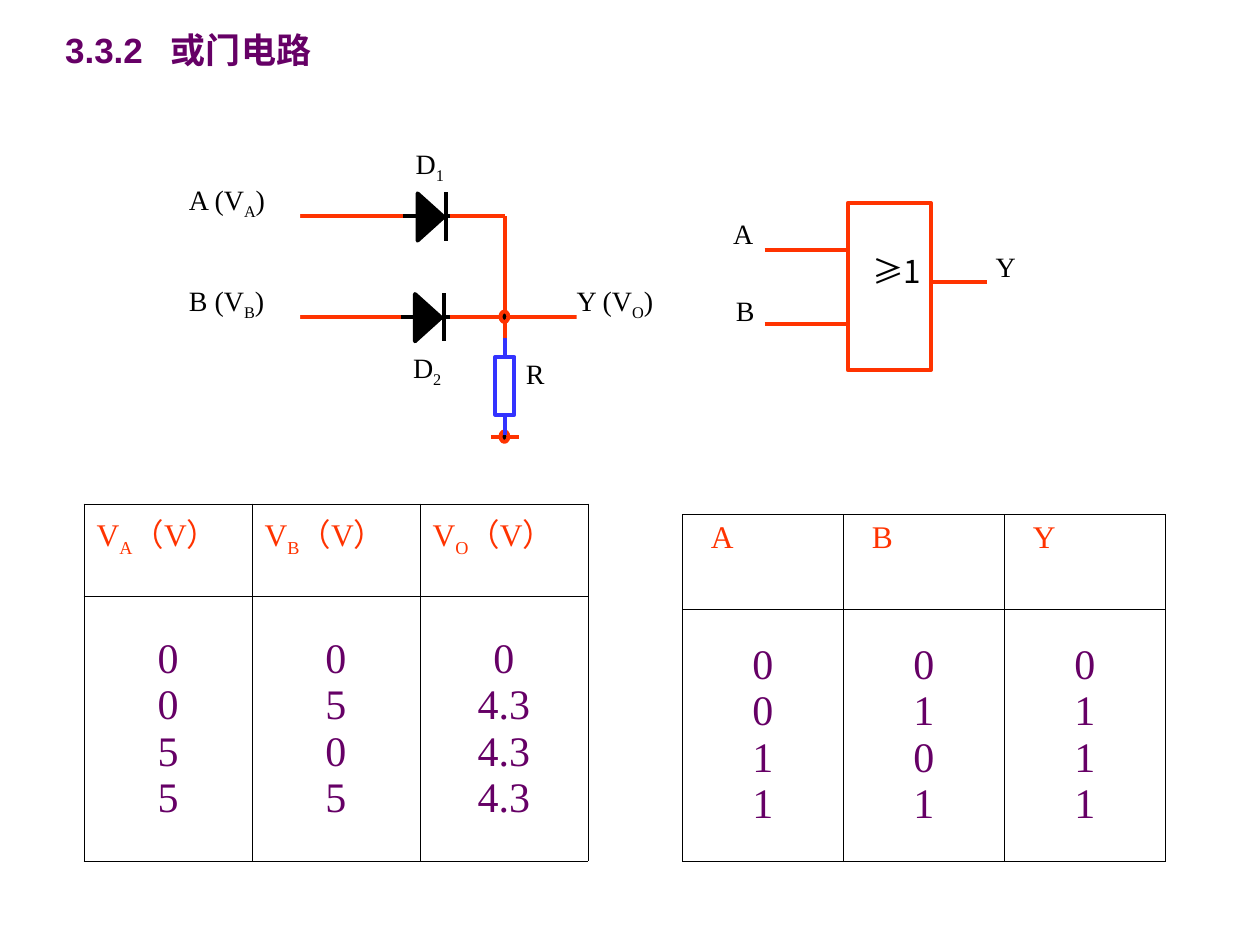
import pptx
import pptx.dml.color
import pptx.enum.shapes
import pptx.enum.text
import pptx.oxml
import pptx.oxml.ns
import pptx.util
from lxml import etree

Pt = pptx.util.Pt
SHAPE = pptx.enum.shapes.MSO_SHAPE
ALIGN = pptx.enum.text.PP_ALIGN
ANCHOR = pptx.enum.text.MSO_ANCHOR

RED, BLUE, BLACK, WHITE, PURPLE = "FF3300", "3333FF", "000000", "FFFFFF", "660066"
SERIF, SANS, CHINESE = "Times New Roman", "Arial", "Noto Sans CJK SC"
LINE_WIDTH = 2.25
BORDER_WIDTH = 0.45

LABEL = {"size": Pt(16), "name": SERIF, "bold": False}
GATE_SYMBOL = {"size": Pt(18), "name": CHINESE, "bold": False}
TABLE_HEAD = {"size": Pt(18), "name": SERIF, "bold": False}
TABLE_BODY = {"size": Pt(24), "name": SERIF, "bold": False}
TITLE = {"size": Pt(20), "name": SANS, "bold": True}


def colour(hex_string):
    return pptx.dml.color.RGBColor.from_string(hex_string)


def add_runs(paragraph, text, font_format, hex_colour):
    """Write text whose parts between bars are subscripts, as in V|A|."""
    for index, part in enumerate(text.split("|")):
        if not part:
            continue
        run = paragraph.add_run()
        run.text = part
        for name, value in font_format.items():
            setattr(run.font, name, value)
        run.font.color.rgb = colour(hex_colour)
        properties = run._r.get_or_add_rPr()
        east_asian = etree.SubElement(properties, pptx.oxml.ns.qn("a:ea"))
        east_asian.set("typeface", CHINESE)
        if index % 2:
            properties.set("baseline", "-25000")


def add_title(slide, number, heading):
    title = slide.shapes.title
    title.left, title.top, title.width, title.height = Pt(30), Pt(12), Pt(200), Pt(32)
    frame = title.text_frame
    frame.word_wrap = True
    frame.vertical_anchor = ANCHOR.MIDDLE
    for side, margin in {"left": 7.2, "right": 7.2, "top": 3.6, "bottom": 3.6}.items():
        setattr(frame, f"margin_{side}", Pt(margin))
    paragraph = frame.paragraphs[0]
    paragraph.alignment = ALIGN.LEFT
    tabs = etree.SubElement(paragraph._p.get_or_add_pPr(), pptx.oxml.ns.qn("a:tabLst"))
    etree.SubElement(tabs, pptx.oxml.ns.qn("a:tab"), pos=str(Pt(60.5)), algn="l")
    add_runs(paragraph, f"{number}\t{heading}", TITLE, PURPLE)


def add_wire(slide, start, end, hex_colour=RED):
    wire = slide.shapes.add_connector(
        pptx.enum.shapes.MSO_CONNECTOR.STRAIGHT, *map(Pt, start + end))
    wire.line.color.rgb = colour(hex_colour)
    wire.line.width = Pt(LINE_WIDTH)
    etree.SubElement(wire._element.spPr, pptx.oxml.ns.qn("a:effectLst"))


def add_part(slide, kind, box, fill=WHITE, line=None):
    shape = slide.shapes.add_shape(kind, *map(Pt, box))
    shape.shadow.inherit = False
    shape.fill.solid()
    shape.fill.fore_color.rgb = colour(fill)
    if line:
        shape.line.color.rgb = colour(line)
        shape.line.width = Pt(LINE_WIDTH)
    else:
        shape.line.fill.background()
    return shape


def add_label(slide, text, box, font_format=LABEL):
    frame = add_part(slide, SHAPE.RECTANGLE, box).text_frame
    frame.word_wrap = True
    frame.vertical_anchor = ANCHOR.TOP
    for side in ("left", "right", "top", "bottom"):
        setattr(frame, f"margin_{side}", 0)
    frame.paragraphs[0].alignment = ALIGN.LEFT
    add_runs(frame.paragraphs[0], text, font_format, BLACK)


def add_diode(slide, bar_x, y):
    """Draw a diode pointing right, with its cathode bar at bar_x."""
    triangle = add_part(slide, SHAPE.ISOSCELES_TRIANGLE,
                        (bar_x - 22.4, y - 7, 27, 15), BLACK, BLACK)
    triangle.rotation = 90
    add_wire(slide, (bar_x - 24.5, y), (bar_x - 15, y), BLACK)
    add_wire(slide, (bar_x, y), (bar_x + 5.75, y), BLACK)
    add_wire(slide, (bar_x, y - 13.5), (bar_x, y + 14), BLACK)


def add_node(slide, x, y):
    add_part(slide, SHAPE.OVAL, (x - 2.5, y - 3, 4.5, 6), BLACK, RED)


def add_borders(cell):
    properties = cell._tc.get_or_add_tcPr()
    for position, side in enumerate(("lnL", "lnR", "lnT", "lnB")):
        properties.insert(position, pptx.oxml.parse_xml(
            f'<a:{side} {pptx.oxml.ns.nsdecls("a")} w="{Pt(BORDER_WIDTH)}">'
            f'<a:solidFill><a:srgbClr val="{BLACK}"/></a:solidFill></a:{side}>'))


def add_truth_table(slide, box, head_height, head_indent, columns):
    """Draw one head row and one row holding each column's values as paragraphs."""
    left, top, width, height = box
    table = slide.shapes.add_table(2, len(columns), *map(Pt, box)).table
    table.first_row = table.horz_banding = False
    table.rows[0].height = Pt(head_height)
    table.rows[1].height = Pt(height - head_height)
    for index, (heading, values) in enumerate(columns):
        table.columns[index].width = Pt(width / len(columns))
        head, body = table.cell(0, index), table.cell(1, index)
        for cell in (head, body):
            cell.fill.background()
            add_borders(cell)
        head.margin_left = Pt(7.2 + head_indent)
        add_runs(head.text_frame.paragraphs[0], heading, TABLE_HEAD, RED)
        body.vertical_anchor = ANCHOR.MIDDLE
        frame = body.text_frame
        for row, value in enumerate(values.split()):
            paragraph = frame.add_paragraph() if row else frame.paragraphs[0]
            paragraph.alignment = ALIGN.CENTER
            add_runs(paragraph, value, TABLE_BODY, PURPLE)


def draw_diode_circuit(slide):
    input_x, output_x, node_x = 171.5, 336, 288.5
    wire_a, wire_b, ground = 123.5, 181, 249.5
    for y, bar_x in ((wire_a, 255), (wire_b, 253.5)):
        add_wire(slide, (input_x, y), (234.5, y))
        add_diode(slide, bar_x, y)
        add_wire(slide, (257, y), (node_x, y))
    add_wire(slide, (node_x, wire_b), (output_x, wire_b))
    add_wire(slide, (node_x, wire_a), (node_x, 200))
    add_wire(slide, (node_x - 8, ground), (node_x + 8, ground))
    add_node(slide, node_x, wire_b)
    for text, box in (
        ("Y (V|O|)", (329.5, 162, 63.5, 38)),
        ("A (V|A|)", (108, 104.5, 63.5, 38)),
        ("B (V|B|)", (108, 162, 63.5, 38)),
        ("D|1|", (237.5, 84, 31.5, 24)),
        ("D|2|", (236, 200.5, 31.5, 38)),
        ("R", (300.5, 204, 31.5, 38)),
    ):
        add_label(slide, text, box)
    add_node(slide, node_x, ground)
    add_part(slide, SHAPE.RECTANGLE, (node_x - 5.5, 204, 11, 33), WHITE, BLUE)
    add_wire(slide, (node_x, 237.5), (node_x, 248.5), BLUE)
    add_wire(slide, (node_x, 204), (node_x, 193), BLUE)


def draw_or_gate(slide):
    left, right = 484.5, 532
    add_part(slide, SHAPE.RECTANGLE, (left, 116, right - left, 95.5), WHITE, RED)
    for y in (143, 185):
        add_wire(slide, (437, y), (left, y))
    add_label(slide, "A", (419, 124, 16, 38))
    add_label(slide, "B", (420.5, 168, 16, 38))
    add_label(slide, "≥1", (498.5, 144, 35, 26.5), GATE_SYMBOL)
    add_wire(slide, (right, 119.5), (right, 196))
    add_wire(slide, (right, 161), (564, 161))
    add_label(slide, "Y", (569, 142.5, 16, 38))


def main():
    presentation = pptx.Presentation()
    presentation.slide_width, presentation.slide_height = Pt(720), Pt(540)
    slide = presentation.slides.add_slide(presentation.slide_layouts[5])
    add_title(slide, "3.3.2", "或门电路")
    draw_diode_circuit(slide)
    draw_or_gate(slide)
    add_truth_table(slide, (48, 288, 288, 204), 53, 0, (
        ("V|A|（V）", "0 0 5 5"),
        ("V|B|（V）", "0 5 0 5"),
        ("V|O|（V）", "0 4.3 4.3 4.3")))
    add_truth_table(slide, (390, 294, 276, 198), 54, 9, (
        ("A", "0 0 1 1"),
        ("B", "0 1 0 1"),
        ("Y", "0 1 1 1")))
    presentation.save("out.pptx")


if __name__ == "__main__":
    main()
